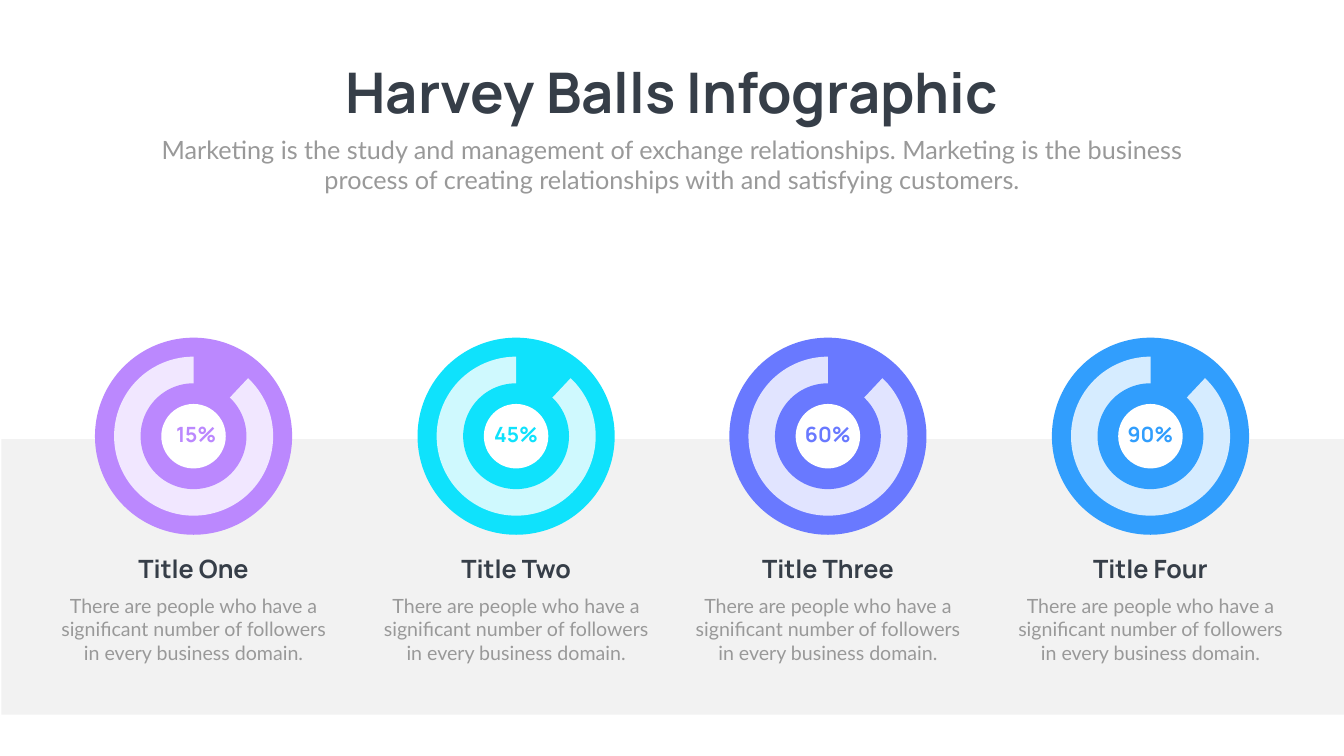
from pptx import Presentation
from pptx.chart.data import CategoryChartData
from pptx.dml.color import RGBColor
from pptx.enum.chart import XL_CHART_TYPE
from pptx.enum.shapes import MSO_SHAPE
from pptx.enum.text import MSO_AUTO_SIZE, PP_ALIGN
from pptx.oxml import parse_xml
from pptx.util import Inches, Pt

PIE = XL_CHART_TYPE.PIE
OVAL, RECTANGLE = MSO_SHAPE.OVAL, MSO_SHAPE.RECTANGLE
GROW = MSO_AUTO_SIZE.SHAPE_TO_FIT_TEXT
CENTER = PP_ALIGN.CENTER

DARK = RGBColor(0x36, 0x3E, 0x48)
GRAY = RGBColor(0x99, 0x99, 0x99)
BAND = RGBColor(0xF2, 0xF2, 0xF2)
WHITE = RGBColor(0xFF, 0xFF, 0xFF)
PURPLE, LILAC = RGBColor(0xBB, 0x88, 0xFE), RGBColor(0xF1, 0xE7, 0xFF)
CYAN, ICE = RGBColor(0x0F, 0xE2, 0xFC), RGBColor(0xCF, 0xF9, 0xFE)
INDIGO, LAVENDER = RGBColor(0x69, 0x79, 0xFF), RGBColor(0xE1, 0xE4, 0xFF)
BLUE, SKY = RGBColor(0x31, 0x9E, 0xFD), RGBColor(0xD6, 0xEC, 0xFF)

BODY = "There are people who have a significant number of followers in every business domain."
# Column centre and percent centre (in % of width), percent, title, strong and pale colour
BALLS = [
    (14.4, 14.6, "15%", "Title One", PURPLE, LILAC),
    (38.4, 38.4, "45%", "Title Two", CYAN, ICE),
    (61.6, 61.6, "60%", "Title Three", INDIGO, LAVENDER),
    (85.6, 85.6, "90%", "Title Four", BLUE, SKY),
]

prs = Presentation()
prs.slide_width, prs.slide_height = Inches(26.66), Inches(15)
slide = prs.slides.add_slide(prs.slide_layouts[6])

# The slide is a grid of 100 columns by 100 rows
COL, ROW = prs.slide_width / 100, prs.slide_height / 100
BALL_Y = 57.7 * ROW
PLOT_W, PLOT_H = 23.27 * ROW, 22.87 * ROW
PIE_SIZE = 21.05 * ROW


def add_filled(shapes, preset, left, top, width, height, color):
    shape = shapes.add_shape(preset, round(left), round(top), round(width), round(height))
    shape.shadow.inherit = False
    shape.fill.solid()
    shape.fill.fore_color.rgb = color
    shape.line.fill.background()


def add_centered_text(center, top, width, height, text, size, color, heading=True):
    """Place a text box, in grid units, around a centre column."""
    box = slide.shapes.add_textbox(round((center - width / 2) * COL), round(top * ROW),
                                   round(width * COL), round(height * ROW))
    frame = box.text_frame
    frame.word_wrap = True
    frame.auto_size = GROW
    frame.margin_top = frame.margin_bottom = 0 if heading else Inches(0.05)
    paragraph = frame.paragraphs[0]
    paragraph.alignment = CENTER
    run = paragraph.add_run()
    run.text = text
    run.font.name = "Manrope" if heading else "Lato"
    run.font.size = Pt(size)
    run.font.bold = heading
    run.font.color.rgb = color


add_centered_text(50, 7.6, 63.35, 9.67, "Harvey Balls Infographic", 80, DARK)
add_centered_text(50, 17.4, 78.1, 8.73,
                  "Marketing is the study and management of exchange relationships. "
                  "Marketing is the business process of creating relationships with "
                  "and satisfying customers.", 36, GRAY, heading=False)
add_filled(slide.shapes, RECTANGLE, 0.11 * COL, 58.07 * ROW, 99.89 * COL, 36.47 * ROW, BAND)

shares = CategoryChartData()
shares.categories = ["1", "2"]
shares.add_series("Series 1", (12, 88))

for column, percent_column, percent, title, strong, pale in BALLS:
    ball = slide.shapes.add_group_shape().shapes
    ball_x = column * COL
    for diameter, color in ((26.07, strong), (14, strong), (8.53, WHITE)):
        size = diameter * ROW
        add_filled(ball, OVAL, ball_x - size / 2, BALL_Y - size / 2, size, size, color)
        if diameter > 20:  # the pie lies on the outer disc, under the inner ones
            chart = ball.add_chart(PIE, round(ball_x - PLOT_W / 2), round(BALL_Y - PLOT_H / 2),
                                   round(PLOT_W), round(PLOT_H), shares).chart

    chart.has_legend = False
    chart.has_title = False
    chart.font.name = "Calibri"
    chart.font.size = Pt(18)
    chart.font.color.rgb = GRAY
    plot = chart.plots[0]
    plot.vary_by_categories = True
    gap, rest = (plot.series[0].points[i].format for i in range(2))
    gap.fill.background()
    rest.fill.solid()
    rest.fill.fore_color.rgb = pale
    for part in (gap, rest):
        part.line.fill.background()

    # Fix the pie's size in the middle of its frame
    share_w, share_h = PIE_SIZE / PLOT_W, PIE_SIZE / PLOT_H
    plot_area = chart._chartSpace.chart.plotArea
    for old in plot_area.findall("{*}layout"):
        plot_area.remove(old)
    plot_area.insert(0, parse_xml(
        '<c:layout xmlns:c="http://schemas.openxmlformats.org/drawingml/2006/chart">'
        '<c:manualLayout><c:layoutTarget val="inner"/>'
        '<c:xMode val="edge"/><c:yMode val="edge"/>'
        f'<c:x val="{(1 - share_w) / 2:.3f}"/><c:y val="{(1 - share_h) / 2:.3f}"/>'
        f'<c:w val="{share_w:.3f}"/><c:h val="{share_h:.3f}"/>'
        '</c:manualLayout></c:layout>'))

    add_centered_text(percent_column, 55.8, 22.96, 4.53, percent, 30, strong)
    add_centered_text(column, 78.2, 20.56, 10.07, BODY, 28, GRAY, heading=False)
    add_centered_text(column, 73.13, 20.56, 4.73, title, 36, DARK)

prs.save("out.pptx")
